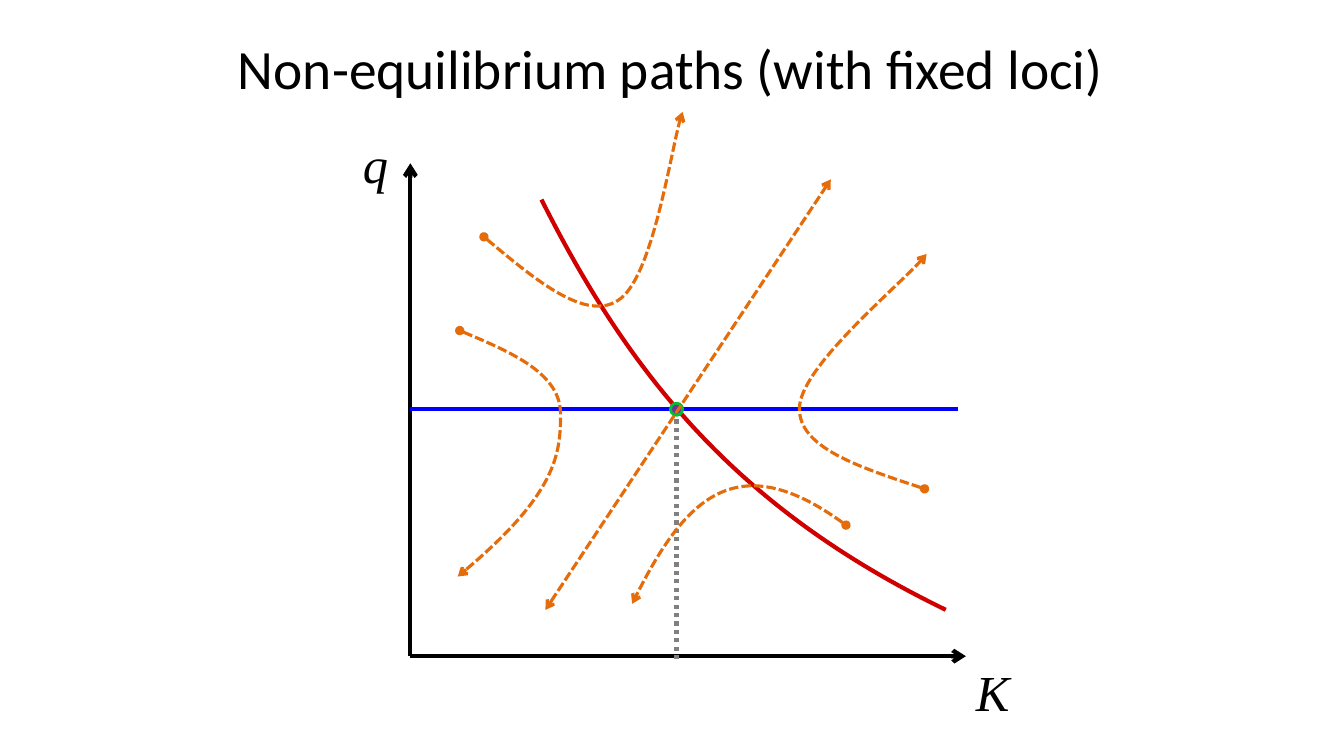
from dataclasses import dataclass

from lxml import etree
from pptx import Presentation
from pptx.dml.color import RGBColor
from pptx.enum.dml import MSO_LINE
from pptx.enum.shapes import MSO_CONNECTOR, MSO_SHAPE
from pptx.enum.text import MSO_ANCHOR, PP_ALIGN
from pptx.oxml.ns import qn
from pptx.util import Inches, Pt

# Content: axes, loci and paths, in inches
TITLE = "Non-equilibrium paths (with fixed loci)"
ORIGIN = (4.07, 6.51)
Q_TOP, K_END = 1.62, 9.58
AXIS_LABELS = [("q", 3.5, 1.27), ("K", 9.58, 6.51)]
LABEL_SIZE = (0.47, 0.71)
STEADY_STATE = (6.71, 4.06)
DOT_SIZE = 0.12
K_LOCUS_END = 9.5
DROP_END = 6.54
# Each curve: a start point, then two controls and an end for every arc
Q_LOCUS = [(5.37, 1.98), (6.28, 3.79), (7.36, 5.07), (9.38, 6.05)]
PATHS = [
    [(4.56, 3.28), (5.06, 3.49), (5.57, 3.71), (5.56, 4.12),
     (5.56, 4.52), (5.5, 4.93), (4.54, 5.72)],
    [(4.8, 2.35), (5.3, 2.77), (5.81, 3.19), (6.13, 2.98),
     (6.46, 2.78), (6.68, 1.34), (6.77, 1.11)],
    [(9.17, 4.85), (8.54, 4.64), (7.92, 4.44), (7.93, 4.05),
     (7.93, 3.66), (9.04, 2.73), (9.19, 2.52)],
    [(8.39, 5.21), (7.33, 4.42), (6.77, 4.96), (6.27, 5.99)],
]
DIVERGING_PATH = [(5.41, 6.05), (8.24, 1.78)]


@dataclass(frozen=True)
class Theme:
    ink: str = "000000"
    k_locus: str = "0000FE"
    q_locus: str = "D00000"
    route: str = "E46C0A"
    drop: str = "808080"
    dot_fill: str = "7030A0"
    dot_edge: str = "00C032"
    title_font: str = "Calibri"
    label_font: str = "Times New Roman"
    title_size: float = 39.6
    label_size: float = 36
    heavy: float = 3
    medium: float = 2.25
    thin: float = 2


theme = Theme()
ROUTE_STYLE = (theme.route, theme.medium, MSO_LINE.SQUARE_DOT)

prs = Presentation()
prs.slide_width, prs.slide_height = Inches(13.33), Inches(7.5)
slide = prs.slides.add_slide(prs.slide_layouts[6])
shapes = slide.shapes


def style_line(line, color, width, dash=None, head=None, tail=None):
    line.color.rgb = RGBColor.from_string(color)
    line.width = Pt(width)
    if dash is not None:
        line.dash_style = dash
    ln = line._get_or_add_ln()
    for tag, kind in (("a:headEnd", head), ("a:tailEnd", tail)):
        if kind:
            etree.SubElement(ln, qn(tag), type=kind)


def add_line(start, end, *style, **ends):
    line = shapes.add_connector(MSO_CONNECTOR.STRAIGHT,
                                *map(Inches, (*start, *end)))
    style_line(line.line, *style, **ends)
    etree.SubElement(line._element.spPr, qn("a:effectLst"))


def add_curve(points, *style, **ends):
    corners = [(Inches(x), Inches(y)) for x, y in points]
    builder = shapes.build_freeform(*corners[0])
    builder.add_line_segments(corners[1:], close=False)
    curve = builder.convert_to_shape()
    # Turn every three straight segments into one cubic arc
    segments = list(curve._element.iter(qn("a:lnTo")))
    for i in range(0, len(segments), 3):
        arc = etree.Element(qn("a:cubicBezTo"))
        segments[i].addprevious(arc)
        for segment in segments[i:i + 3]:
            arc.append(segment[0])
            segment.getparent().remove(segment)
    curve.fill.background()
    style_line(curve.line, *style, **ends)
    curve.shadow.inherit = False


def add_text(words, box, font, size, italic=False, wrap=False):
    frame = shapes.add_textbox(*map(Inches, box)).text_frame
    frame.word_wrap = wrap
    run = frame.paragraphs[0].add_run()
    run.text = words
    run.font.name, run.font.size, run.font.italic = font, Pt(size), italic
    run.font.color.rgb = RGBColor.from_string(theme.ink)
    return frame


# Title
title = add_text(TITLE, (2.15, 0.04, 9, 1.25), theme.title_font,
                 theme.title_size, wrap=True)
title.vertical_anchor = MSO_ANCHOR.MIDDLE
title.paragraphs[0].alignment = PP_ALIGN.CENTER

# Axes and their labels
for axis_end in ((ORIGIN[0], Q_TOP), (K_END, ORIGIN[1])):
    add_line(ORIGIN, axis_end, theme.ink, theme.heavy, tail="arrow")
for letter, left, top in AXIS_LABELS:
    add_text(letter, (left, top, *LABEL_SIZE), theme.label_font,
             theme.label_size, italic=True)

# Fixed loci
steady_k, steady_q = STEADY_STATE
add_curve(Q_LOCUS, theme.q_locus, theme.heavy)
add_line((ORIGIN[0], steady_q), (K_LOCUS_END, steady_q),
         theme.k_locus, theme.heavy)

# Steady state and its drop line
radius = DOT_SIZE / 2
dot = shapes.add_shape(MSO_SHAPE.OVAL, Inches(steady_k - radius),
                       Inches(steady_q - radius), Inches(DOT_SIZE),
                       Inches(DOT_SIZE))
dot.fill.solid()
dot.fill.fore_color.rgb = RGBColor.from_string(theme.dot_fill)
style_line(dot.line, theme.dot_edge, theme.thin)
dot.shadow.inherit = False
add_line((steady_k, DROP_END), (steady_k, steady_q + radius),
         theme.drop, theme.heavy, MSO_LINE.ROUND_DOT)

# Non-equilibrium paths
for points in PATHS:
    add_curve(points, *ROUTE_STYLE, head="oval", tail="arrow")
add_line(*DIVERGING_PATH, *ROUTE_STYLE, head="arrow", tail="arrow")

prs.save("out.pptx")
